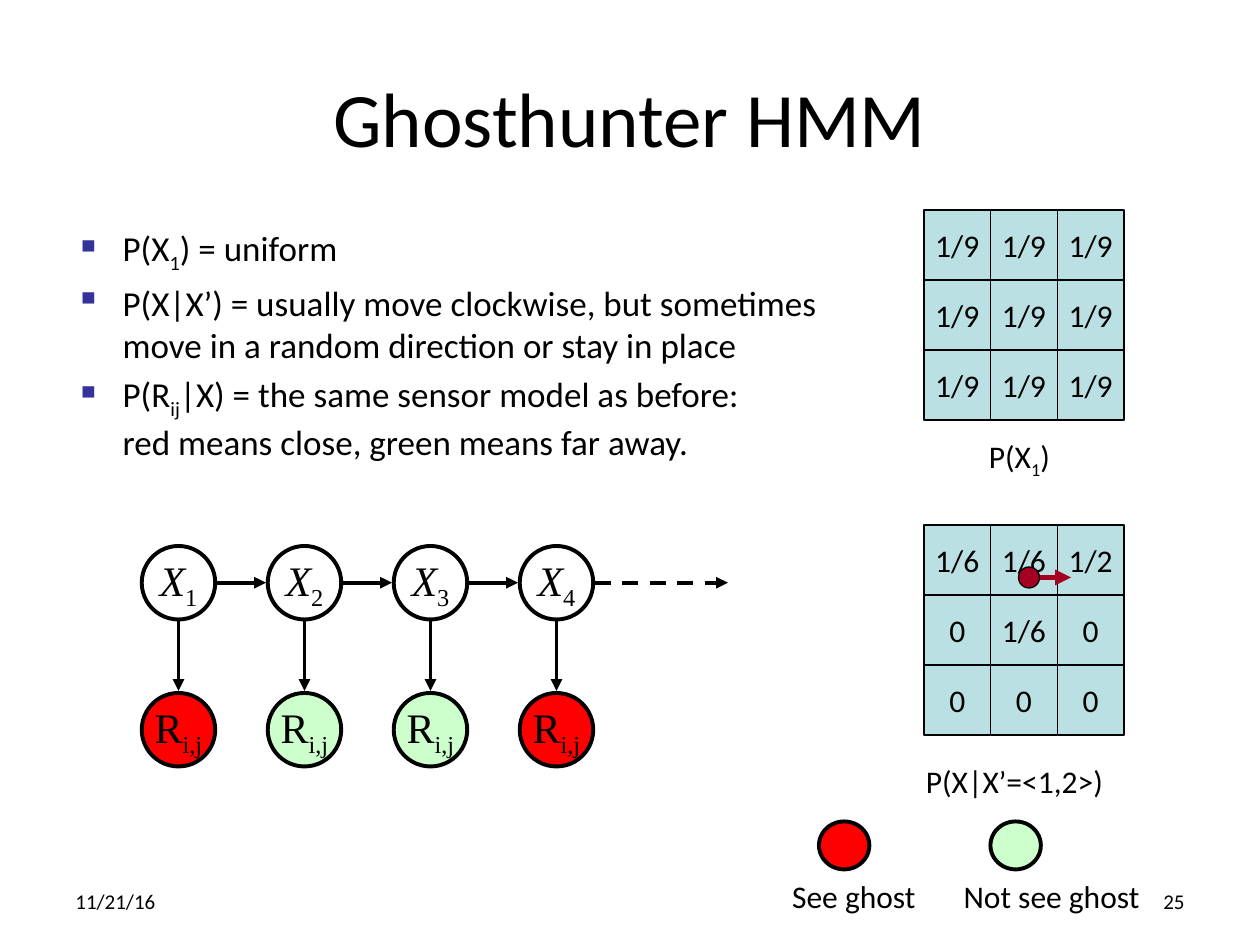
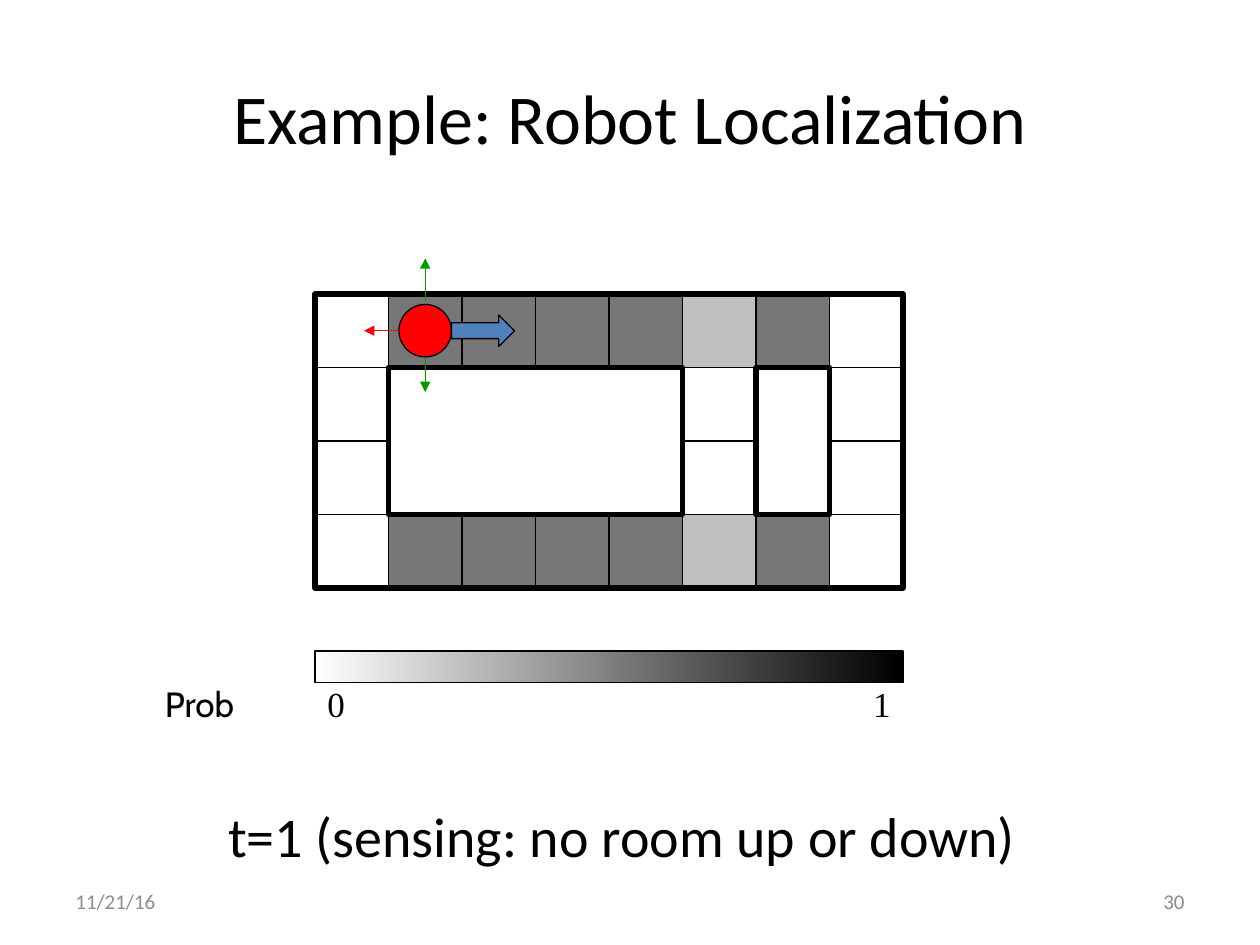
from lxml import etree
from pptx import Presentation
from pptx.dml.color import RGBColor
from pptx.enum import dml, shapes, text
from pptx.oxml import ns
from pptx.util import Pt

HEX = {
    "black": "000000", "white": "FFFFFF", "gray": "8C8C8C", "bullet": "333399",
    "cell": "BBE0E3", "red": "FF0000", "mint": "CCFFCC", "ghost": "A50021",
    "dark": "777777", "light": "C0C0C0", "green": "009900", "blue": "4F81BD",
}
SANS, SERIF = "Calibri", "Times New Roman"
LEFT, MID, RIGHT = text.PP_ALIGN.LEFT, text.PP_ALIGN.CENTER, text.PP_ALIGN.RIGHT
TOP, CORE = text.MSO_ANCHOR.TOP, text.MSO_ANCHOR.MIDDLE
KIND = shapes.MSO_SHAPE


def rgb(name):
    return RGBColor.from_string(HEX[name])


def sub(parent, tag, **attrs):
    return etree.SubElement(parent, ns.qn(tag), **attrs)


def add_bullet(para):
    props = para._p.get_or_add_pPr()
    props.set("marL", str(Pt(27)))
    props.set("indent", str(-Pt(27)))
    sub(sub(props, "a:buClr"), "a:srgbClr", val=HEX["bullet"])
    sub(props, "a:buChar", char="▪")


def write(shape, paras, size, font=SANS, color="black", align=LEFT,
          anchor=TOP, wrap=False, bullet=False):
    """Fill a shape with paragraphs, each a string or a list of (text, mark) runs."""
    frame = shape.text_frame
    frame.word_wrap = wrap
    frame.vertical_anchor = anchor
    for i, runs in enumerate(paras):
        para = frame.add_paragraph() if i else frame.paragraphs[0]
        para.alignment = align
        if i:
            para.space_before = Pt(size * 0.2)
        if bullet:
            add_bullet(para)
        for words, mark in [(runs, "")] if isinstance(runs, str) else runs:
            if mark == "break":
                para.add_line_break()
            run = para.add_run()
            run.text = words
            run.font.size = Pt(size)
            run.font.name = font
            run.font.color.rgb = rgb(color)
            if mark == "italic":
                run.font.italic = True
            if mark == "sub":
                run._r.get_or_add_rPr().set("baseline", "-25000")


def label(slide, box, paras, size, **style):
    shape = slide.shapes.add_textbox(*map(Pt, box))
    write(shape, paras, size, **style)


def draw(slide, kind, box, fill=None, width=0.75):
    shape = slide.shapes.add_shape(kind, *map(Pt, box))
    shape.shadow.inherit = False
    if fill:
        shape.fill.solid()
        shape.fill.fore_color.rgb = rgb(fill)
    else:
        shape.fill.background()
    shape.line.color.rgb = rgb("black")
    shape.line.width = Pt(width)
    return shape


def arrow(slide, start, end, color="black", width=2.25, dash=False):
    link = slide.shapes.add_connector(
        shapes.MSO_CONNECTOR.STRAIGHT, *map(Pt, (*start, *end)))
    link.line.color.rgb = rgb(color)
    link.line.width = Pt(width)
    if dash:
        link.line.dash_style = dml.MSO_LINE.DASH
    sub(link.line._get_or_add_ln(), "a:tailEnd", type="triangle")
    sub(link._element.spPr, "a:effectLst")


def add_slide(deck, title, size, number, color):
    slide = deck.slides.add_slide(deck.slide_layouts[5])
    head = slide.shapes.title
    head.left, head.top, head.width, head.height = map(Pt, (36, 21.6, 648, 90))
    write(head, [title], size, align=MID, anchor=CORE, wrap=True)
    for left, words, align in ((36, "11/21/16", LEFT), (516, number, RIGHT)):
        label(slide, (left, 500.5, 168, 28.75), [words], 12, color=color,
              align=align, anchor=CORE, wrap=True)
    return slide


def odds(slide, top, rows):
    """Draw a square grid of probabilities."""
    wide, high = 38.1, 40
    for r, row in enumerate(rows):
        for c, value in enumerate(row):
            box = 528 + c * wide, top + r * high, wide, high
            cell = draw(slide, KIND.RECTANGLE, box, "cell")
            write(cell, [value], 18, align=MID, anchor=CORE)


def node(slide, left, top, fill, runs):
    shape = draw(slide, KIND.OVAL, (left, top, 42, 42), fill, 2.25)
    write(shape, [runs], 24, font=SERIF, align=MID, anchor=CORE)


def chain(slide):
    """Draw the hidden states, their readings and the arrows between them."""
    step, seen = 72, ("red", "mint", "mint", "red")
    for i, fill in enumerate(seen):
        left = 81 + i * step
        node(slide, left, 312, "white", [("X", "italic"), (str(i + 1), "sub")])
        node(slide, left, 396, fill, [("R", ""), ("i,j", "sub")])
        arrow(slide, (left + 21, 355), (left + 21, 394.8))
        last = i == len(seen) - 1
        reach = 119 if last else step - 1
        arrow(slide, (left + 43, 333), (left + reach, 333), dash=last)


def ghost_slide(deck):
    slide = add_slide(deck, "Ghosthunter HMM", 44, "25", "black")
    label(slide, (36, 126, 474, 356.5), [
        [("P(X", ""), ("1", "sub"), (") = uniform", "")],
        "P(X|X’) = usually move clockwise, but sometimes "
        "move in a random direction or stay in place",
        [("P(R", ""), ("ij", "sub"), ("|X) = the same sensor model as before:", ""),
         ("red means close, green means far away.", "break")],
    ], 20, wrap=True, bullet=True)
    odds(slide, 120, [["1/9"] * 3] * 3)
    label(slide, (558, 246, 50.4, 29),
          [[("P(X", ""), ("1", "sub"), (")", "")]], 18)
    odds(slide, 300, [["1/6", "1/6", "1/2"], ["0", "1/6", "0"], ["0"] * 3])
    label(slide, (522, 432, 116.6, 29), ["P(X|X’=<1,2>)"], 18)
    chain(slide)
    arrow(slide, (588, 330), (612, 330), "ghost", 3)
    draw(slide, KIND.OVAL, (582, 324, 12, 12), "ghost")
    for left, fill, words, wide in ((468, "red", "See ghost", 86.4),
                                    (566, "mint", "Not see ghost", 116.6)):
        draw(slide, KIND.OVAL, (left, 469.4, 28.8, 27.4), fill, 2.25)
        label(slide, (left - 22.4, 497.6, wide, 29), [words], 18)


def maze(slide, left, top, side):
    """Draw the rooms (d dark, l light, o open), then the walls around them."""
    tone = {"d": "dark", "l": "light", "o": None}
    for r, row in enumerate(("oddddldo", "o    o o", "o    o o", "oddddldo")):
        for c, mark in enumerate(row):
            if mark in tone:
                box = left + c * side, top + r * side, side, side
                draw(slide, KIND.RECTANGLE, box, tone[mark])
    for c, r, wide, high, fill in ((1, 1, 4, 2, "white"), (0, 0, 8, 4, None),
                                   (6, 1, 1, 2, None)):
        box = left + c * side, top + r * side, wide * side, high * side
        draw(slide, KIND.RECTANGLE, box, fill, 3)


def robot(slide, x, y):
    draw(slide, KIND.OVAL, (x - 15, y - 15, 30, 30), "red")
    arrow(slide, (x, y - 17), (x, y - 41.4), "green", 0.75)
    arrow(slide, (x, y + 15), (x, y + 35), "green", 0.75)
    arrow(slide, (x - 15.5, y), (x - 35, y), "red", 0.75)
    draw(slide, KIND.RIGHT_ARROW, (x + 15, y - 9, 36, 18), "blue")


def scale(slide):
    """Draw the probability bar with its labels."""
    bar = draw(slide, KIND.RECTANGLE, (180, 372, 336, 18))
    bar.fill.gradient()
    bar.fill.gradient_angle = 0
    for stop, place, color in zip(bar.fill.gradient_stops, (0, 1), ("white", "black")):
        stop.position = place
        stop.color.rgb = rgb(color)
    for left, wide, words, font, align in ((348, 168, "1", SERIF, RIGHT),
                                           (180, 168, "0", SERIF, LEFT),
                                           (60, 108, "Prob", "Cabin", MID)):
        label(slide, (left, 390, wide, 24), [words], 20, font=font,
              align=align, anchor=CORE)


def robot_slide(deck):
    slide = add_slide(deck, "Example: Robot Localization", 40, "30", "gray")
    label(slide, (49.5, 454.5, 612, 72), ["t=1 (sensing: no room up or down)"],
          32, align=MID, wrap=True)
    maze(slide, 180, 168, 42)
    robot(slide, 243, 189)
    scale(slide)


def main():
    deck = Presentation()
    deck.slide_width, deck.slide_height = Pt(720), Pt(540)
    ghost_slide(deck)
    robot_slide(deck)
    deck.save("out.pptx")


if __name__ == "__main__":
    main()
